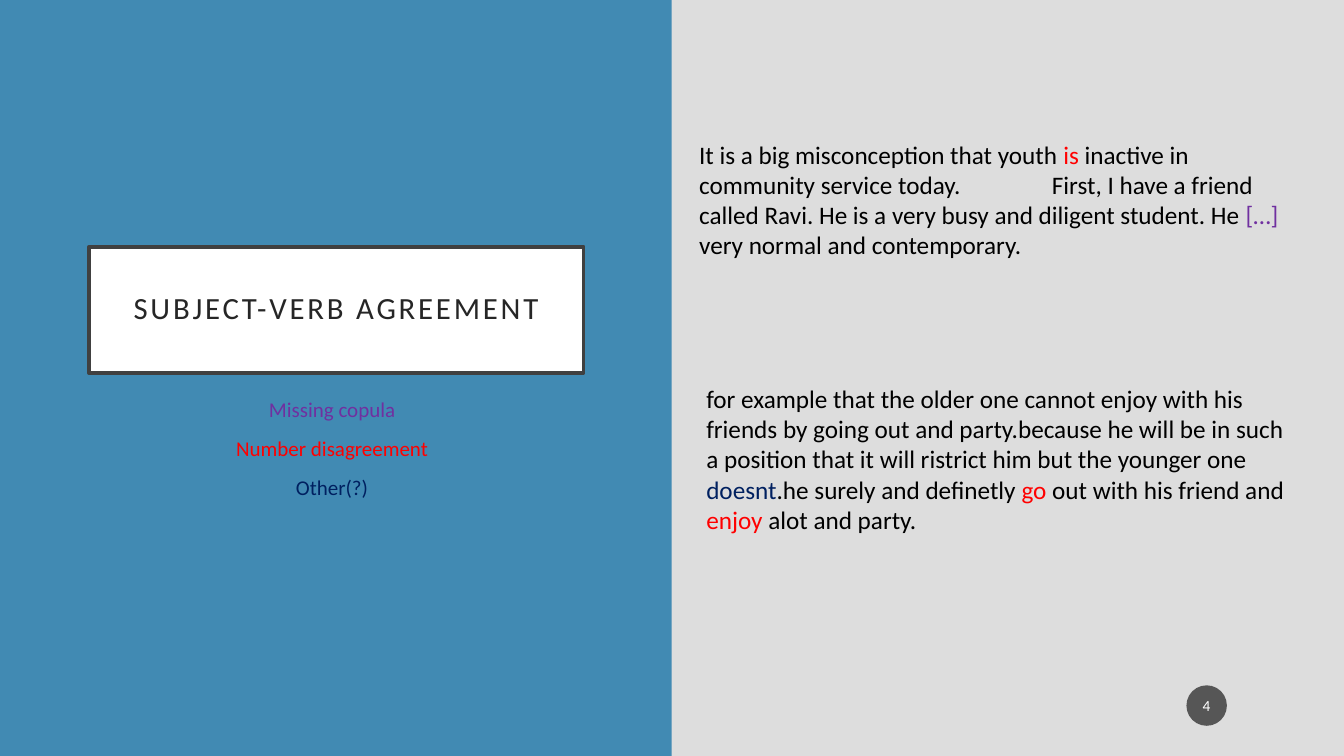
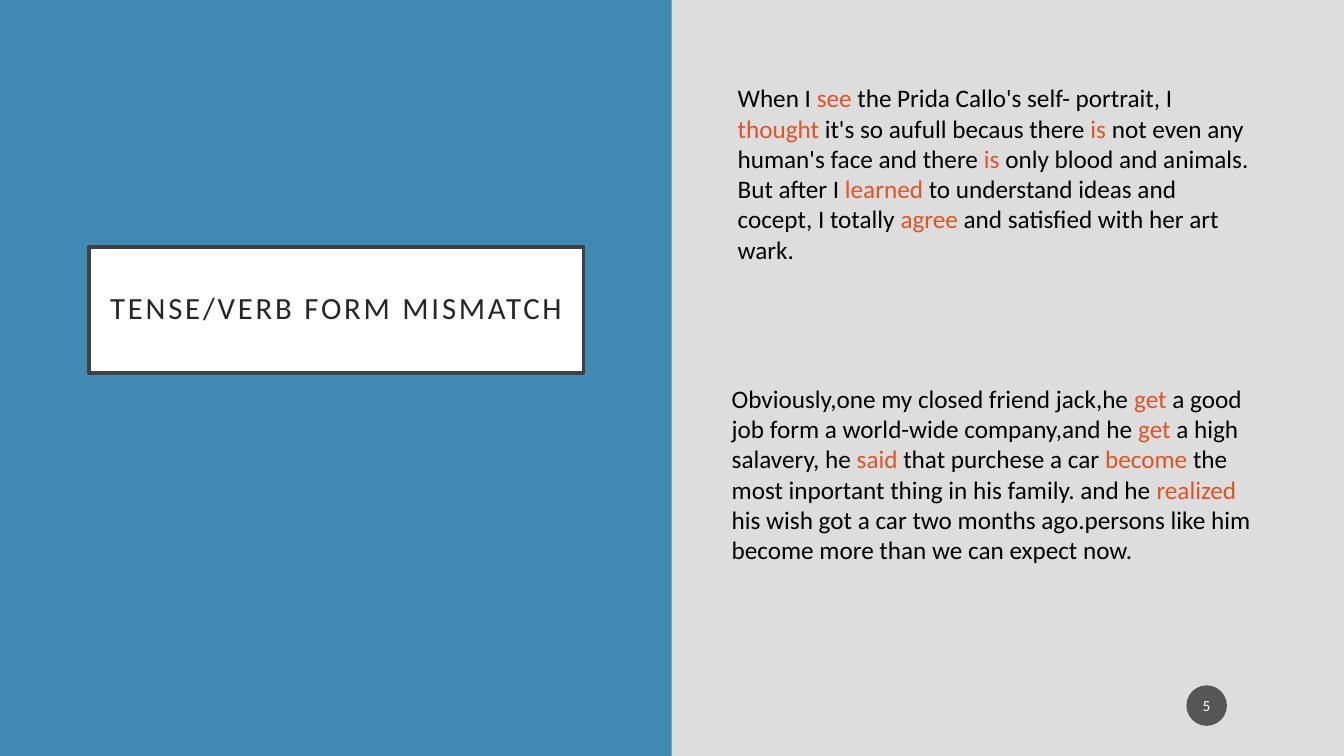
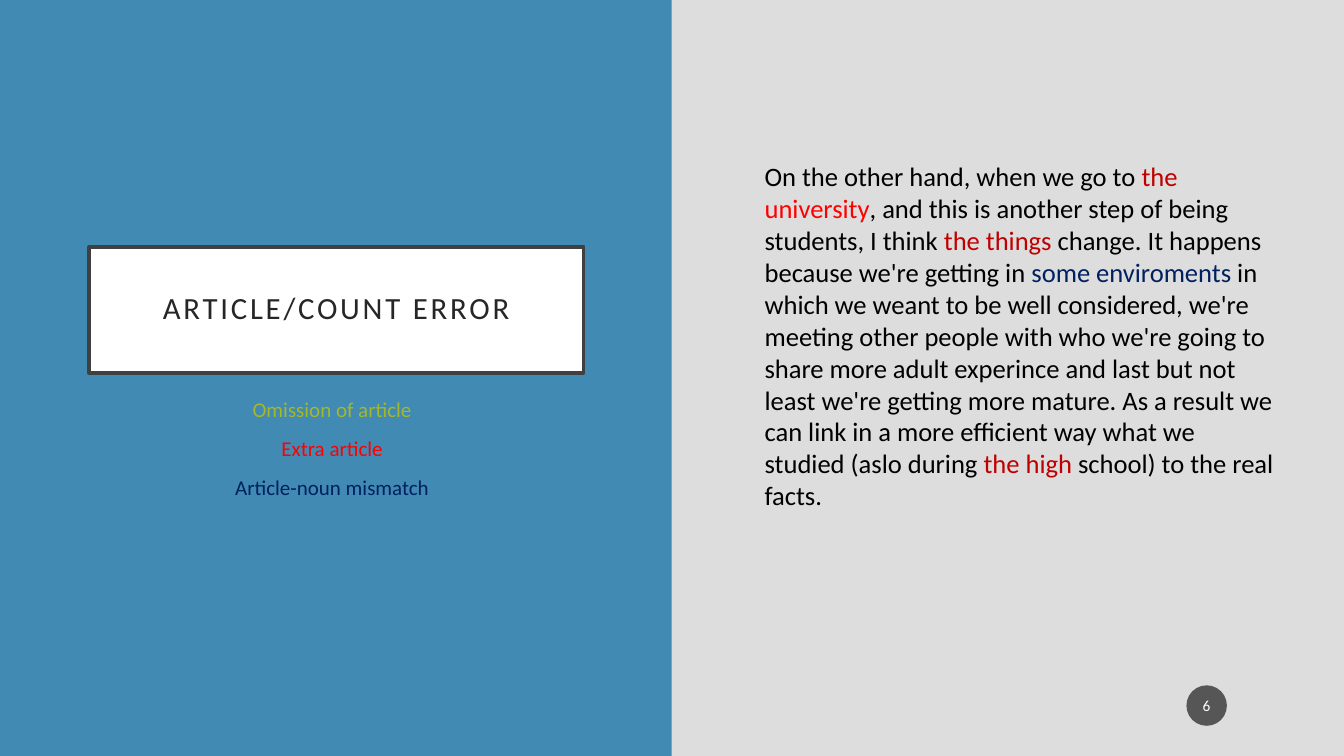
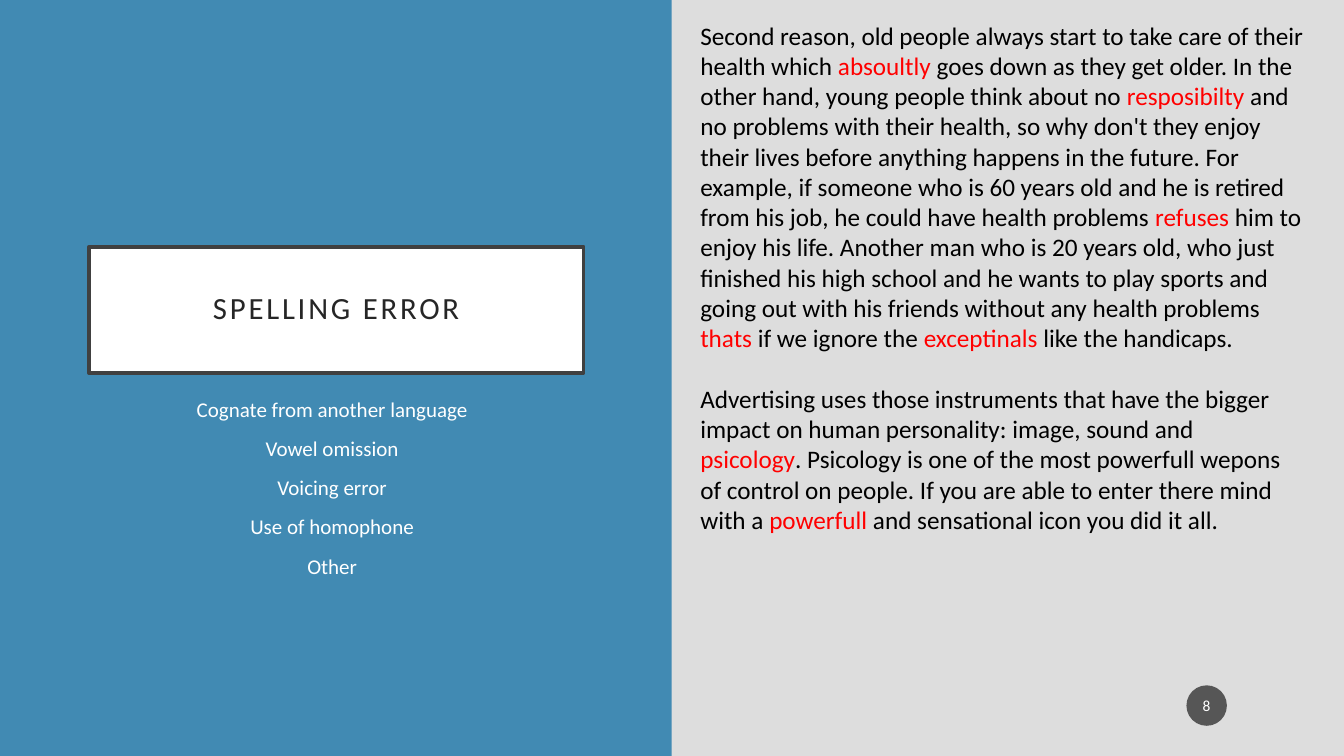
from lxml.etree import SubElement
from pptx import Presentation
from pptx.dml.color import RGBColor
from pptx.enum.shapes import MSO_SHAPE
from pptx.enum.text import MSO_ANCHOR, PP_ALIGN
from pptx.oxml.ns import qn
from pptx.util import Cm, Pt

FONT = "Calibri"
COLORS = {
    "ground": "DDDDDD", "panel": "418AB3", "frame": "404040", "title": "262626",
    "badge": "1D1D1D", "white": "FFFFFF", "black": "000000", "violet": "7030A0",
    "red": "FF0000", "darkred": "C00000", "navy": "002060", "orange": "DF5327",
    "olive": "A6B727",
}

# Text between bars is marked "colour:words"; the rest is black.
# Passages are (left, top, width, height, size, text), lengths in cm.
SLIDES = [
    {
        "number": 4,
        "title": "SUBJECT-VERB AGREEMENT",
        "legend": ["|violet:Missing copula|", "|red:Number disagreement|", "|navy:Other(?)|"],
        "passages": [
            (17.37, 3.38, 15.72, 3.33, 18,
             "It is a big misconception that youth |red:is| inactive in community service "
             "today. \tFirst, I have a friend called Ravi. He is a very busy and diligent "
             "student. He |violet:[…]| very normal and contemporary."),
            (17.55, 9.53, 15.39, 4.11, 18,
             "for example that the older one cannot enjoy with his friends by going out and "
             "party.because he will be in such a position that it will ristrict him but the "
             "younger one |navy:doesnt|.he surely and definetly |red:go| out with his friend "
             "and |red:enjoy| alot and party."),
        ],
    },
    {
        "number": 5,
        "title": "TENSE/VERB FORM MISMATCH",
        "legend": [],
        "passages": [
            (18.34, 1.96, 13.39, 7.44, 18,
             "When I |orange:see| the Prida Callo's self- portrait, I |orange:thought| it's so "
             "aufull becaus there |orange:is| not even any human's face and there |orange:is| "
             "only blood and animals. But after I |orange:learned| to understand ideas and "
             "cocept, I totally |orange:agree| and satisfied with her art wark."),
            (18.19, 9.53, 13.69, 4.88, 18,
             "Obviously,one my closed friend jack,he |orange:get| a good job form a world-wide "
             "company,and he |orange:get| a high salavery, he |orange:said| that purchese a car "
             "|orange:become| the most inportant thing in his family. and he |orange:realized| "
             "his wish got a car two months ago.persons like him become more than we can "
             "expect now."),
        ],
    },
    {
        "number": 6,
        "title": "ARTICLE/COUNT ERROR",
        "legend": ["|olive:Omission of article|", "|red:Extra article|",
                   "|navy:Article-noun mismatch|"],
        "passages": [
            (19.02, 3.91, 13.39, 10.54, 19,
             "On the other hand, when we go to |darkred:the ||red:university|, and this is "
             "another step of being students, I think |darkred:the things| change. It happens "
             "because we're getting in |navy:some enviroments| in which we weant to be well "
             "considered, we're meeting other people with who we're going to share more adult "
             "experince and last but not least we're getting more mature. As a result we can "
             "link in a more efficient way what we studied (aslo during |darkred:the high| "
             "school) to the real facts."),
        ],
    },
    {
        "number": 8,
        "title": "SPELLING ERROR",
        "legend": ["|white:Cognate from another language|", "|white:Vowel omission|",
                   "|white:Voicing error|", "|white:Use of homophone|", "|white:Other|"],
        "passages": [
            (17.4, 0.38, 15.98, 8.71, 18,
             "Second reason, old people always start to take care of their health which "
             "|red:absoultly| goes down as they get older. In the other hand, young people "
             "think about no |red:resposibilty| and no problems with their health, so why don't "
             "they enjoy their lives before anything happens in the future. For example, if "
             "someone who is 60 years old and he is retired from his job, he could have health "
             "problems |red:refuses| him to enjoy his life. Another man who is 20 years old, "
             "who just finished his high school and he wants to play sports and going out with "
             "his friends without any health problems |red:thats| if we ignore the "
             "|red:exceptinals| like the handicaps."),
            (17.4, 9.53, 15.54, 4.11, 18,
             "Advertising uses those instruments that have the bigger impact on human "
             "personality: image, sound and |red:psicology|. Psicology is one of the most "
             "powerfull wepons of control on people. If you are able to enter there mind with a "
             "|red:powerfull| and sensational icon you did it all."),
        ],
    },
]


def add_block(s, kind, left, top, width, height, fill, text="", size=18, color="black"):
    """Add a filled preset shape with one centred line of text."""
    sp = s.shapes.add_shape(kind, Cm(left), Cm(top), Cm(width), Cm(height))
    sp.shadow.inherit = False
    sp.fill.solid()
    sp.fill.fore_color.rgb = RGBColor.from_string(COLORS[fill])
    sp.line.fill.background()
    tf = sp.text_frame
    tf.text = text
    tf.vertical_anchor = MSO_ANCHOR.MIDDLE
    p = tf.paragraphs[0]
    p.alignment = PP_ALIGN.CENTER
    for r in p.runs:
        r.font.name, r.font.size = FONT, Pt(size)
        r.font.color.rgb = RGBColor.from_string(COLORS[color])
    return sp


def add_marked_text(s, left, top, width, height, size, lines, align=PP_ALIGN.LEFT):
    """Add a text box with one paragraph per line, colouring the marked words."""
    tf = s.shapes.add_textbox(Cm(left), Cm(top), Cm(width), Cm(height)).text_frame
    tf.word_wrap = True
    for i, line in enumerate(lines):
        p = tf.add_paragraph() if i else tf.paragraphs[0]
        p.alignment = align
        p.space_before = Pt(10 if i else 0)
        if "\t" in line:
            tabs = SubElement(p._p.get_or_add_pPr(), qn("a:tabLst"))
            SubElement(tabs, qn("a:tab"), pos=str(Cm(8.89)), algn="l")
        for j, piece in enumerate(line.split("|")):
            if not piece:
                continue
            color, words = piece.split(":", 1) if j % 2 else ("black", piece)
            r = p.add_run()
            r.text = words
            r.font.name, r.font.size = FONT, Pt(size)
            r.font.color.rgb = RGBColor.from_string(COLORS[color])


prs = Presentation()
prs.slide_width, prs.slide_height = Cm(33.87), Cm(19.05)
background = prs.slide_master.background.fill
background.solid()
background.fore_color.rgb = RGBColor.from_string(COLORS["ground"])

for content in SLIDES:
    s = prs.slides.add_slide(prs.slide_layouts[6])

    # Left panel
    add_block(s, MSO_SHAPE.RECTANGLE, 0, 0, 16.93, 19.05, "panel")

    # Framed title
    sp = add_block(s, MSO_SHAPE.RECTANGLE, 2.24, 6.22, 12.47, 3.18, "white",
                   content["title"], 22, "title")
    sp.line.color.rgb = RGBColor.from_string(COLORS["frame"])
    sp.line.width = Pt(2.5)
    tf = sp.text_frame
    tf.margin_left = tf.margin_right = tf.margin_top = tf.margin_bottom = Cm(0.5)
    p = tf.paragraphs[0]
    p.line_spacing = 0.9
    p.runs[0].font._element.set("spc", "200")

    # Error types and sample passages
    if content["legend"]:
        add_marked_text(s, 3.1, 9.86, 10.54, 6.1, 15, content["legend"], PP_ALIGN.CENTER)
    for left, top, width, height, size, text in content["passages"]:
        add_marked_text(s, left, top, width, height, size, [text])

    # Slide number badge
    sp = add_block(s, MSO_SHAPE.OVAL, 29.9, 17.27, 1.02, 1.02, "badge",
                   str(content["number"]), 11, "white")
    sp.text_frame.margin_left = sp.text_frame.margin_right = Cm(0.05)
    badge_color = sp._element.spPr.find(qn("a:solidFill"))[0]
    SubElement(badge_color, qn("a:alpha"), val="70000")

prs.save("out.pptx")
